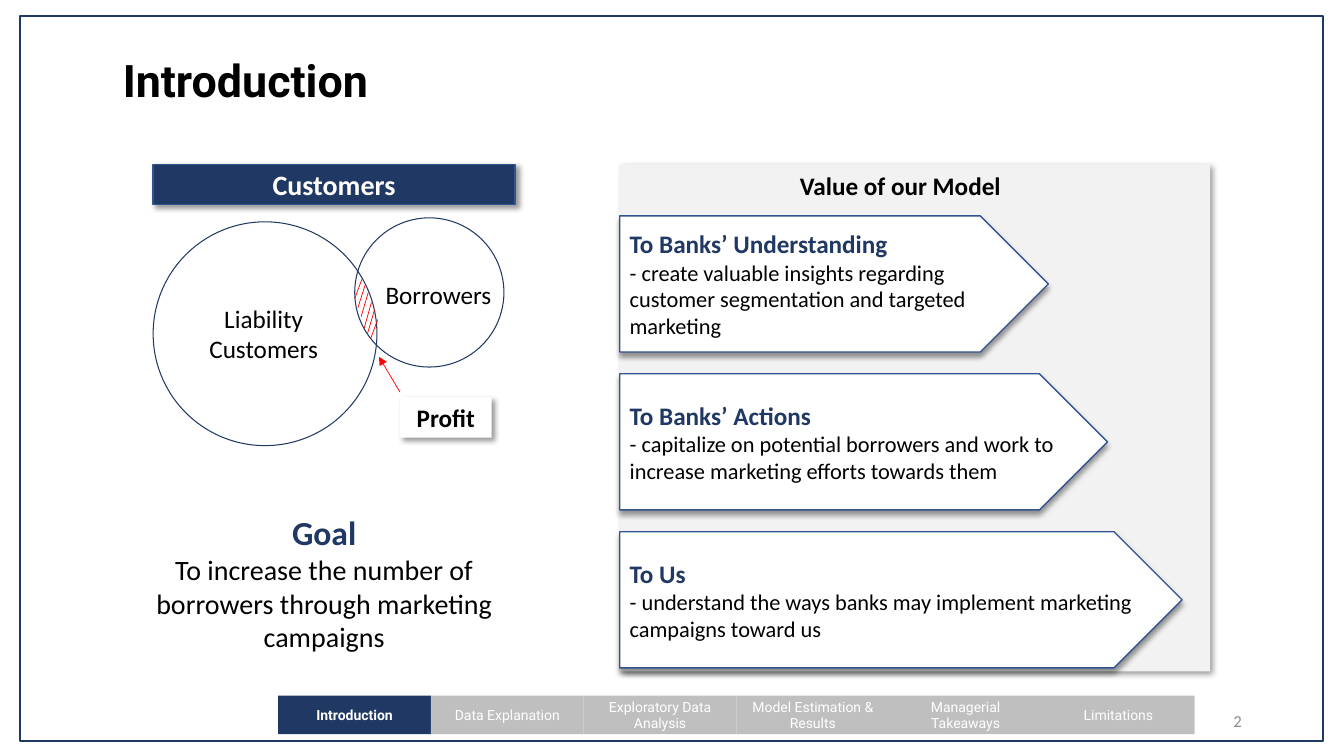
from dataclasses import dataclass

from lxml.etree import SubElement
from pptx import Presentation
from pptx.dml.color import RGBColor
from pptx.enum.shapes import MSO_CONNECTOR as Connector, MSO_SHAPE as Shape
from pptx.enum.text import MSO_ANCHOR as Anchor, MSO_AUTO_SIZE as AutoSize, PP_ALIGN as Align
from pptx.oxml.ns import qn
from pptx.util import Cm, Pt


@dataclass(frozen=True)
class Theme:
    """Colours, fonts and type sizes of the slide."""
    navy: str = "203864"
    edge: str = "325491"
    black: str = "000000"
    white: str = "FFFFFF"
    panel: str = "F2F2F2"
    inactive: str = "BFBFBF"
    number: str = "8C8C8C"
    red: str = "FF0000"
    heading_font: str = "Roboto"
    body_font: str = "Calibri"
    title: int = 32
    goal: int = 24
    large: int = 20
    label: int = 18
    detail: int = 16
    small: int = 12
    tab: int = 10


THEME = Theme()

TABS = ["Introduction", "Data Explanation", "Exploratory Data Analysis",
        "Model Estimation & Results", "Managerial Takeaways", "Limitations"]

VALUES = [
    (10.8, "To Banks’ Understanding",
     "- create valuable insights regarding customer segmentation and targeted marketing"),
    (12.29, "To Banks’ Actions",
     "- capitalize on potential borrowers and work to increase marketing efforts towards them"),
    (14.17, "To Us",
     "- understand the ways banks may implement marketing campaigns toward us"),
]

HATCH_ENDS = [(7.04, 7.52), (7.19, 7.75), (7.37, 7.98),
              (7.62, 8.26), (7.8, 8.41), (8.05, 8.53)]


def write(shape, lines, align=Align.CENTER, anchor=Anchor.MIDDLE, font=THEME.body_font):
    """Fill a shape with paragraphs given as (text, size, colour, bold)."""
    frame = shape.text_frame
    frame.word_wrap = True
    frame.vertical_anchor = anchor
    frame.text = "\n".join(line[0] for line in lines)
    for para, (_, size, colour, bold) in zip(frame.paragraphs, lines):
        para.alignment = align
        for span in para.runs:
            span.font.name = font
            span.font.size = Pt(size)
            span.font.bold = bold
            span.font.color.rgb = RGBColor.from_string(colour)


def add_shadow(shape, degrees):
    """Give a shape a soft black shadow in one direction."""
    effects = shape._element.spPr.find(qn("a:effectLst"))
    outer = SubElement(effects, qn("a:outerShdw"), blurRad=str(Pt(4)), dist=str(Pt(3)),
                       dir=str(degrees * 60000), algn="tl", rotWithShape="0")
    colour = SubElement(outer, qn("a:srgbClr"), val=THEME.black)
    SubElement(colour, qn("a:alpha"), val="40000")


def add_block(page, kind, place, fill=None, line=None, width=1, shadow=None):
    """Add a preset shape with optional fill, outline and shadow angle."""
    shape = page.shapes.add_shape(kind, *map(Cm, place))
    shape.shadow.inherit = False
    if fill:
        shape.fill.solid()
        shape.fill.fore_color.rgb = RGBColor.from_string(fill)
    else:
        shape.fill.background()
    if line:
        shape.line.color.rgb = RGBColor.from_string(line)
        shape.line.width = Pt(width)
    else:
        shape.line.fill.background()
    if shadow is not None:
        add_shadow(shape, shadow)
    return shape


def add_label(page, place, lines, **layout):
    """Add a text box."""
    box = page.shapes.add_textbox(*map(Cm, place))
    write(box, lines, **layout)
    return box


def add_red_line(page, ends, arrow=False):
    """Add a thin red line, with an arrowhead at its end if asked."""
    line = page.shapes.add_connector(Connector.STRAIGHT, *map(Cm, ends))
    line.line.color.rgb = RGBColor.from_string(THEME.red)
    line.line.width = Pt(0.5)
    if arrow:
        SubElement(line.line._get_or_add_ln(), qn("a:tailEnd"), type="triangle")
    SubElement(line._element.spPr, qn("a:effectLst"))


def add_title(page):
    """Place and format the title."""
    title = page.shapes.title
    title.left, title.top, title.width, title.height = map(Cm, (2.84, 0.81, 28.14, 2.54))
    write(title, [("Introduction", THEME.title, THEME.black, True)],
          align=Align.LEFT, font=THEME.heading_font)
    title.text_frame.auto_size = AutoSize.NONE
    title.text_frame.paragraphs[0].line_spacing = 0.9


def add_navigation(page):
    """Add the row of section tabs and the page number."""
    for index, name in enumerate(TABS):
        active = index == 0
        tab = add_block(page, Shape.RECTANGLE, (7.01 + 3.85 * index, 17.53, 3.85, 0.97),
                        THEME.navy if active else THEME.inactive)
        write(tab, [(name, THEME.tab, THEME.white, active)], font=THEME.heading_font)
    add_label(page, (23.93, 17.65, 7.62, 1.02),
              [("2", THEME.small, THEME.number, False)], align=Align.RIGHT)


def add_customers(page):
    """Add the overlapping customer circles with their labels."""
    add_block(page, Shape.OVAL, (3.86, 5.59, 5.64, 5.64), line=THEME.navy, width=0.75)
    header = add_block(page, Shape.RECTANGLE, (3.86, 4.14, 9.12, 1.02),
                       THEME.navy, THEME.edge, shadow=45)
    write(header, [("Customers", THEME.large, THEME.white, True)])
    liability = add_block(page, Shape.RECTANGLE, (4.32, 7.52, 4.65, 1.75), THEME.white)
    write(liability, [("Liability Customers", THEME.label, THEME.black, False)])
    profit = add_block(page, Shape.RECTANGLE, (10.08, 10.01, 2.31, 1.02),
                       THEME.white, shadow=45)
    write(profit, [("Profit", THEME.label, THEME.black, True)])
    add_block(page, Shape.OVAL, (8.94, 5.49, 3.76, 3.76), line=THEME.navy, width=0.75)
    add_label(page, (9.4, 7.09, 3.3, 0.64),
              [("Borrowers", THEME.label, THEME.black, False)])
    for index, (top, bottom) in enumerate(HATCH_ENDS):
        right = 9.12 + 0.08 * index
        add_red_line(page, (right, top, right - 0.18, bottom))
    add_red_line(page, (10.08, 9.88, 9.55, 8.99), arrow=True)


def add_goal(page):
    """Add the goal statement."""
    add_label(page, (3.38, 12.78, 9.58, 3.84),
              [("Goal", THEME.goal, THEME.navy, True),
               ("To increase the number of borrowers through marketing campaigns",
                THEME.large, THEME.black, False)], anchor=Anchor.TOP)


def add_values(page):
    """Add the panel of widening value arrows."""
    add_block(page, Shape.RECTANGLE, (15.62, 4.14, 14.88, 12.78), THEME.panel, shadow=45)
    for index, (width, heading, detail) in enumerate(VALUES):
        arrow = add_block(page, Shape.PENTAGON, (15.62, 5.44 + 3.98 * index, width, 3.43),
                          THEME.white, THEME.edge, shadow=90)
        write(arrow, [(heading, THEME.label, THEME.navy, True),
                      (detail, THEME.detail, THEME.black, False)], align=Align.LEFT)
    heading = add_label(page, (19.91, 4.17, 5.61, 1.02),
                        [("Value of our Model", THEME.label, THEME.black, True)],
                        align=Align.LEFT, anchor=Anchor.TOP)
    heading.text_frame.word_wrap = False


def main():
    """Build the slide and save it."""
    deck = Presentation()
    deck.slide_width, deck.slide_height = Cm(33.87), Cm(19.05)
    page = deck.slides.add_slide(deck.slide_layouts[5])
    add_block(page, Shape.RECTANGLE, (0.51, 0.41, 32.84, 18.26), line=THEME.navy, width=1.5)
    add_title(page)
    add_navigation(page)
    add_customers(page)
    add_goal(page)
    add_values(page)
    deck.save("out.pptx")


if __name__ == "__main__":
    main()
